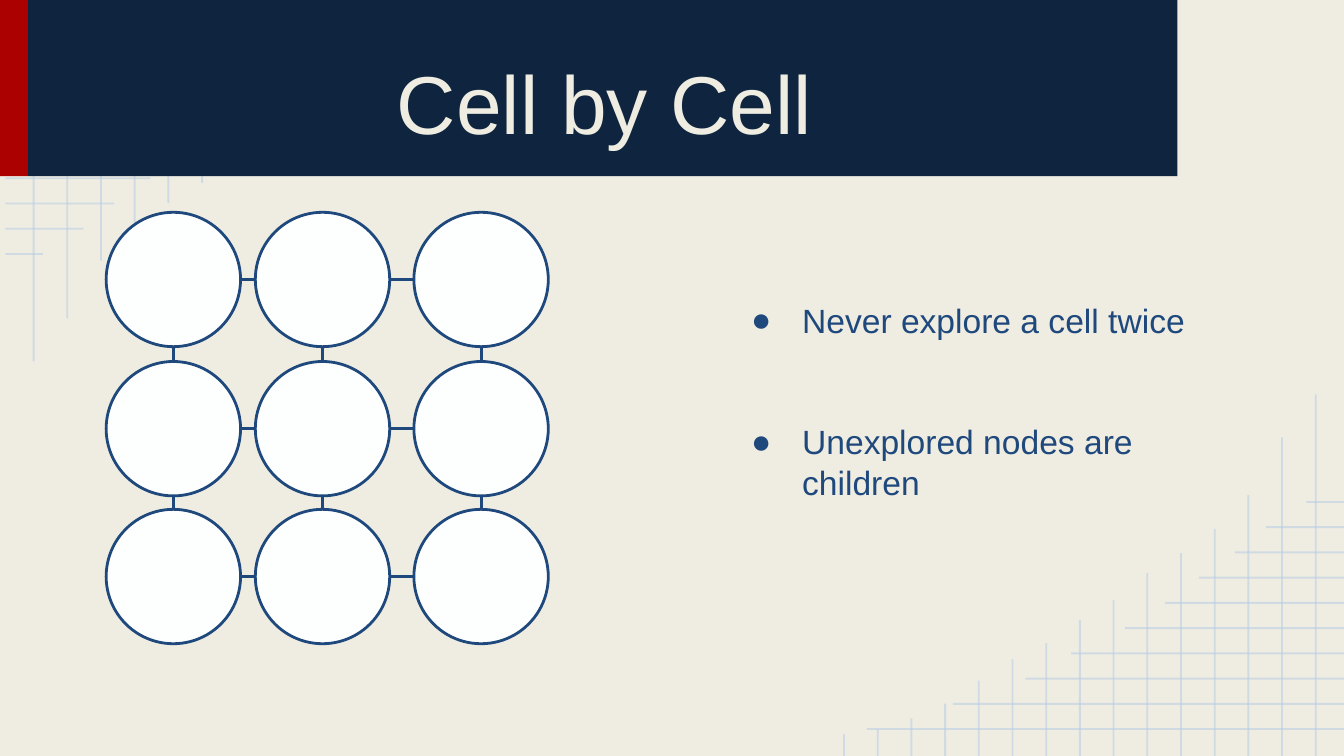
from itertools import pairwise
from lxml.etree import SubElement as Sub
from pptx import Presentation
from pptx.dml.color import RGBColor as RGB
from pptx.enum.shapes import MSO_CONNECTOR as Link, MSO_SHAPE as Shape
from pptx.enum.text import MSO_ANCHOR as Anchor, PP_ALIGN as Align
from pptx.oxml.ns import qn
from pptx.util import Inches, Pt

CREAM = RGB(0xEF, 0xED, 0xE2)
NAVY = RGB(0x0F, 0x24, 0x3E)
RED = RGB(0xAB, 0x01, 0x01)
BLUE = RGB(0x1F, 0x49, 0x7D)
PALE = RGB(0xB7, 0xCC, 0xE4)
WHITE = RGB(0xFD, 0xFF, 0xFF)

WIDE = 10
HIGH = WIDE * 9 / 16
ROWS = [3.59, 2.95, 2.41, 2.07, 1.67, 1.37, 1.12, 0.85, 0.62, 0.32]
COLS = [2.69, 2.37, 1.94, 1.69, 1.51, 1.36, 1.16, 1.01,
        0.84, 0.72, 0.56, 0.39, 0.28, 0.2, 0.16]
CELL = 1
LEFTS = [0.79, 1.9, 3.08]
TOPS = [1.58, 2.69, 3.79]
POINTS = ["Never explore a cell twice", "Unexplored nodes are children"]


class Board:
    font = "Arial"

    def __init__(self, deck):
        self.slide = deck.slides.add_slide(deck.slide_layouts[6])
        self.slide.background.fill.solid()
        self.slide.background.fill.fore_color.rgb = CREAM
        self.shapes = self.slide.shapes

    def line(self, x1, y1, x2, y2, color, width, alpha=None):
        line = self.shapes.add_connector(
            Link.STRAIGHT, Inches(x1), Inches(y1), Inches(x2), Inches(y2))
        line.line.color.rgb = color
        line.line.width = Pt(width)
        if alpha:
            tint = next(line.line._ln.iter(qn("a:srgbClr")))
            Sub(tint, qn("a:alpha"), val=str(alpha * 1000))
        Sub(line._element.spPr, qn("a:effectLst"))

    def shape(self, kind, x, y, w, h, fill, edge=None):
        shape = self.shapes.add_shape(
            kind, Inches(x), Inches(y), Inches(w), Inches(h))
        shape.shadow.inherit = False
        shape.fill.solid()
        shape.fill.fore_color.rgb = fill
        if edge:
            shape.line.color.rgb = edge
            shape.line.width = Pt(1.5)
        else:
            shape.line.fill.background()

    def text(self, x, y, w, h, lines, size, color,
             align=Align.LEFT, anchor=Anchor.TOP, gap=0, bullet=None):
        box = self.shapes.add_textbox(
            Inches(x), Inches(y), Inches(w), Inches(h))
        frame = box.text_frame
        frame.word_wrap = True
        frame.vertical_anchor = anchor
        frame.margin_left = frame.margin_right = Inches(0.1)
        frame.margin_top = frame.margin_bottom = Inches(0.1)
        for i, words in enumerate(lines):
            para = frame.add_paragraph() if i else frame.paragraphs[0]
            para.text = words
            para.alignment = align
            if bullet:
                self.bullet(para, bullet, color)
            if i:
                para.space_before = Pt(gap)
            para.font.name = self.font
            para.font.size = Pt(size)
            para.font.color.rgb = color

    def bullet(self, para, char, color):
        props = para._p.get_or_add_pPr()
        props.set("marL", str(Inches(0.5)))
        props.set("indent", str(Inches(-0.38)))
        tint = Sub(props, qn("a:buClr"))
        Sub(tint, qn("a:srgbClr"), val=str(color))
        Sub(props, qn("a:buFont"), typeface=self.font)
        Sub(props, qn("a:buChar"), char=char)

    def mesh(self, turn):
        def draw(*ends):
            if turn:
                ends = [side - end for side, end
                        in zip((WIDE + 0.04, HIGH) * 2, ends)]
            self.line(*ends, PALE, 1, 54)

        for i, end in enumerate(ROWS):
            y = 0.2 + i * 1.69 / 9
            draw(0.04, y, end, y)
        for i, end in enumerate(COLS):
            x = 0.25 + i * 3.51 / 14
            draw(x, end, x, 0)

    def cells(self):
        for y in TOPS:
            for x in LEFTS:
                self.shape(Shape.OVAL, x, y, CELL, CELL, WHITE, BLUE)
        half = CELL / 2
        for y in TOPS:
            for a, b in pairwise(LEFTS):
                self.line(a + CELL, y + half, b, y + half, BLUE, 1.5)
        for x in LEFTS:
            for a, b in pairwise(TOPS):
                self.line(x + half, a + CELL, x + half, b, BLUE, 1.5)


def main():
    deck = Presentation()
    deck.slide_width, deck.slide_height = Inches(WIDE), Inches(HIGH)
    board = Board(deck)
    for turn in (False, True):
        board.mesh(turn)
    board.shape(Shape.RECTANGLE, 0, -0.01, 0.21, 1.32, RED)
    board.shape(Shape.RECTANGLE, 0.21, -0.01, 8.55, 1.32, NAVY)
    board.text(0.5, 0.11, 8, 1.11, ["Cell by Cell"], 44, CREAM,
               align=Align.CENTER, anchor=Anchor.BOTTOM)
    board.cells()
    board.text(5.37, 2.13, 3.82, 3.09, POINTS, 18, BLUE,
               gap=43.5, bullet="●")
    deck.save("out.pptx")


if __name__ == "__main__":
    main()
